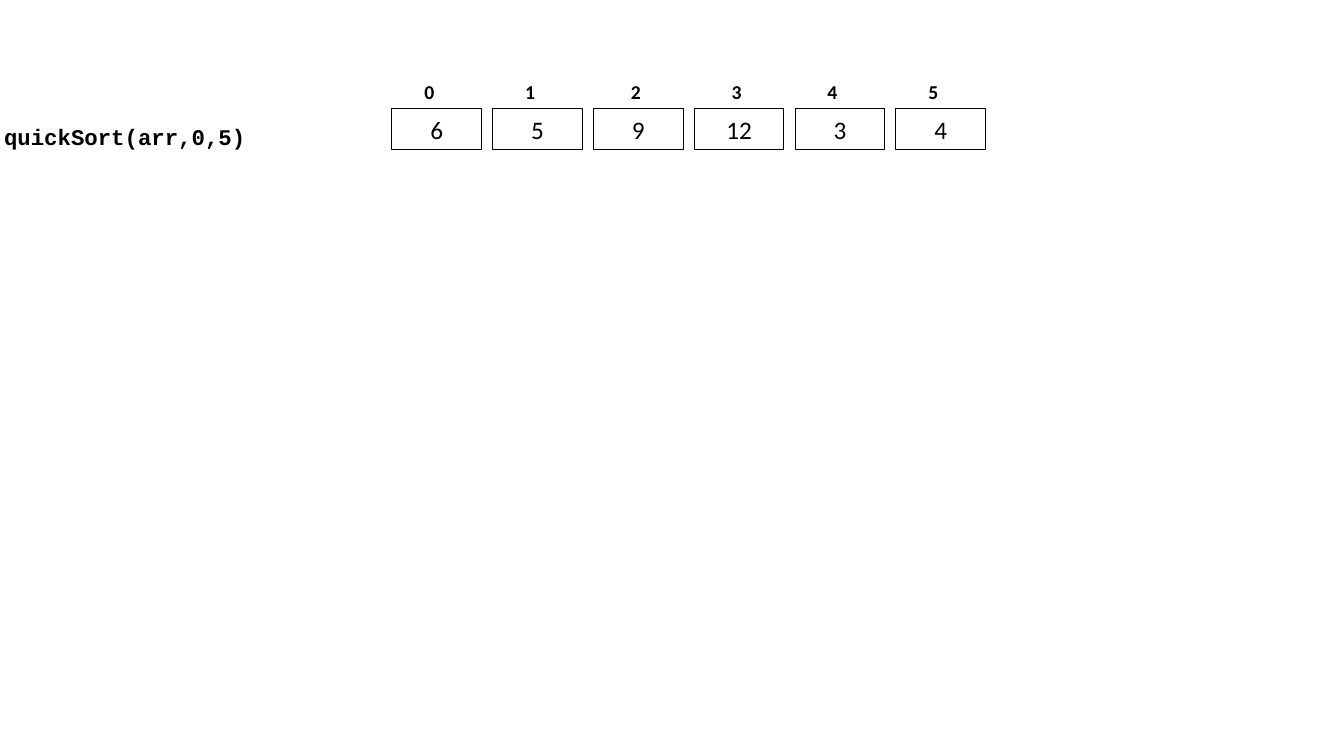
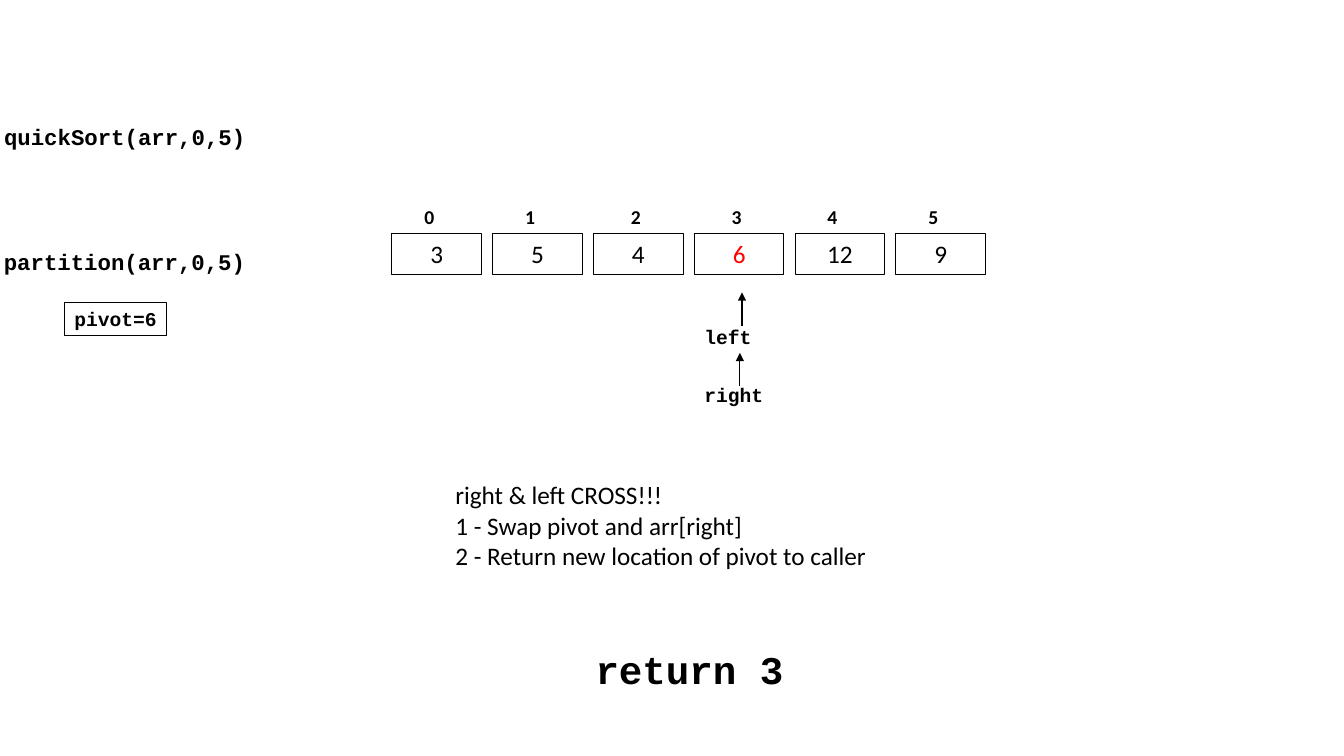
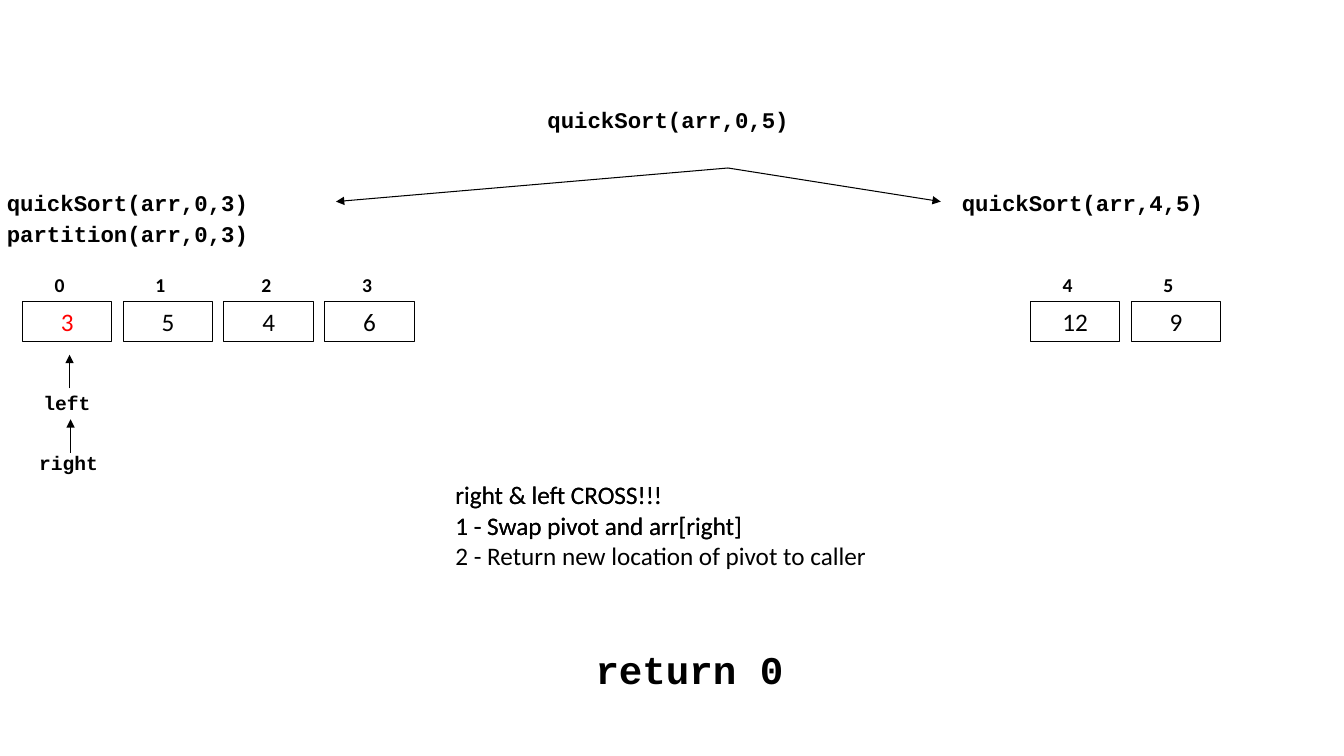
import dataclasses

import pptx
import pptx.dml.color
import pptx.enum.shapes
import pptx.enum.text
import pptx.oxml
import pptx.oxml.ns
import pptx.util

Pt = pptx.util.Pt
RGBColor = pptx.dml.color.RGBColor
MSO_SHAPE = pptx.enum.shapes.MSO_SHAPE
PP_ALIGN = pptx.enum.text.PP_ALIGN


@dataclasses.dataclass(frozen=True)
class TextStyle:
    """Font, size and weight of one kind of text."""
    font: str
    size: float
    bold: bool = False


@dataclasses.dataclass(frozen=True)
class Theme:
    """Colours, type styles and line width shared by the slides."""
    ink: RGBColor = RGBColor(0, 0, 0)
    highlight: RGBColor = RGBColor(255, 0, 0)
    line_width: float = 0.75
    call: TextStyle = TextStyle("Courier New", 16, True)
    pointer: TextStyle = TextStyle("Courier New", 14, True)
    result: TextStyle = TextStyle("Courier New", 28, True)
    index: TextStyle = TextStyle("Calibri", 14, True)
    value: TextStyle = TextStyle("Calibri", 18)


THEME = Theme()
SLIDE_WIDTH, SLIDE_HEIGHT = 960, 540
TITLE_ONLY_LAYOUT = 5
CELL_WIDTH, CELL_PITCH = 64, 72
INDEX_LEFT, INDEX_RISE, INDEX_WIDTH = 16, 24, 21.6
INDEX_NUDGES = {2: 3.6, 3: 3.6}
POINTER_LENGTH = 24
CROSS_STEPS = ["right & left CROSS!!!", "1 - Swap pivot and arr[right]",
               "2 - Return new location of pivot to caller"]


def code_width(text, style):
    """Width of a box around one line of monospaced text."""
    return 14.4 + 0.6 * style.size * len(text)


def text_height(style, lines=1):
    """Height of a box around the given number of lines."""
    return 7.2 + 1.2 * style.size * lines


def place(shape, left, top, width, height):
    """Move and size a shape."""
    shape.left, shape.top = Pt(left), Pt(top)
    shape.width, shape.height = Pt(width), Pt(height)


def write(shape, lines, style, color=THEME.ink, align=PP_ALIGN.LEFT, wrap=False):
    """Fill a shape with one formatted paragraph per line."""
    frame = shape.text_frame
    frame.text = "\n".join(lines)
    frame.word_wrap = wrap
    frame.auto_size = pptx.enum.text.MSO_AUTO_SIZE.SHAPE_TO_FIT_TEXT
    frame.vertical_anchor = pptx.enum.text.MSO_ANCHOR.TOP
    for paragraph in frame.paragraphs:
        paragraph.alignment = align
        paragraph.font.name = style.font
        paragraph.font.size = Pt(style.size)
        paragraph.font.bold = style.bold
        paragraph.font.color.rgb = color


def add_text(slide, lines, style, left, top, width, height=None):
    """Add a text box that does not wrap."""
    height = height or text_height(style, len(lines))
    shape = slide.shapes.add_textbox(Pt(left), Pt(top), Pt(width), Pt(height))
    write(shape, lines, style)


def add_code(slide, text, style, left, top):
    """Add one line of code as wide as its text."""
    add_text(slide, [text], style, left, top, code_width(text, style))


def add_box(slide, text, style, left, top, width, **options):
    """Add an outlined rectangle holding one line of text."""
    shape = slide.shapes.add_shape(MSO_SHAPE.RECTANGLE, Pt(left), Pt(top),
                                   Pt(width), Pt(text_height(style)))
    shape.shadow.inherit = False
    shape.fill.background()
    shape.line.color.rgb = THEME.ink
    shape.line.width = Pt(THEME.line_width)
    write(shape, [text], style, **options)


def add_array(slide, values, left, top, first_index=0, pivot_index=None):
    """Add a row of cells with their indices, the pivot highlighted."""
    for position, value in enumerate(values):
        index = first_index + position
        cell_left = left + position * CELL_PITCH
        color = THEME.highlight if index == pivot_index else THEME.ink
        add_box(slide, str(value), THEME.value, cell_left, top, CELL_WIDTH,
                color=color, align=PP_ALIGN.CENTER, wrap=True)
        index_left = cell_left + INDEX_LEFT + INDEX_NUDGES.get(index, 0)
        add_text(slide, [str(index)], THEME.index, index_left,
                 top - INDEX_RISE, INDEX_WIDTH)


def add_arrow(slide, start, end):
    """Add a straight arrow with its head at the end point."""
    connector = slide.shapes.add_connector(
        pptx.enum.shapes.MSO_CONNECTOR.STRAIGHT, *map(Pt, start + end))
    connector.line.color.rgb = THEME.ink
    connector.line.width = Pt(THEME.line_width)
    tail = pptx.oxml.parse_xml(
        f'<a:tailEnd {pptx.oxml.ns.nsdecls("a")} type="triangle"/>')
    connector.line._get_or_add_ln().append(tail)
    effects = pptx.oxml.parse_xml(
        f'<a:effectLst {pptx.oxml.ns.nsdecls("a")}/>')
    connector._element.spPr.append(effects)


def add_pointer(slide, name, left, top, arrow_x, arrow_tip):
    """Add a named index pointer with an upward arrow."""
    add_code(slide, name, THEME.pointer, left, top)
    add_arrow(slide, (arrow_x, arrow_tip + POINTER_LENGTH), (arrow_x, arrow_tip))


def add_cross_steps(slide):
    """Add the steps taken when the pointers cross."""
    add_text(slide, CROSS_STEPS, THEME.value, 318.2, 339.1, 311.8)


def add_result(slide, text):
    """Add the returned value at the foot of the slide."""
    add_code(slide, text, THEME.result, 418.3, 457.2)


def add_call_slide(presentation, left, top):
    """Add a slide titled with the outermost call."""
    layout = presentation.slide_layouts[TITLE_ONLY_LAYOUT]
    slide = presentation.slides.add_slide(layout)
    call = "quickSort(arr,0,5)"
    title = slide.shapes.title
    place(title, left, top, code_width(call, THEME.call), text_height(THEME.call))
    write(title, [call], THEME.call)
    return slide


def build_start(presentation):
    """Show the unsorted array."""
    slide = add_call_slide(presentation, -4.3, 84.2)
    add_array(slide, [6, 5, 9, 12, 3, 4], 280, 77.8)


def build_first_partition(presentation):
    """Show the array after the first partition."""
    slide = add_call_slide(presentation, -4.3, 84.2)
    add_array(slide, [3, 5, 4, 6, 12, 9], 280, 167, pivot_index=3)
    add_code(slide, "partition(arr,0,5)", THEME.call, -4.3, 173.5)
    add_pointer(slide, "left", 496, 228.2, 530, 208.8)
    add_pointer(slide, "right", 496, 270, 528.5, 252)
    pivot = "pivot=6"
    add_box(slide, pivot, THEME.pointer, 46, 216, code_width(pivot, THEME.pointer))
    add_cross_steps(slide)
    add_result(slide, "return 3")


def build_split(presentation):
    """Show the two recursive calls and the left partition."""
    slide = add_call_slide(presentation, 383.8, 72)
    add_code(slide, "quickSort(arr,0,3)", THEME.call, -2.2, 131.4)
    add_array(slide, [3, 5, 4, 6], 16, 215.3, pivot_index=0)
    add_code(slide, "quickSort(arr,4,5)", THEME.call, 680, 131.8)
    add_array(slide, [12, 9], 736, 215.3, first_index=4)
    for call_x in (240, 672):
        add_arrow(slide, (520, 120), (call_x, 144))
    add_code(slide, "partition(arr,0,3)", THEME.call, -2.2, 153.4)
    add_pointer(slide, "left", 23.8, 275.8, 49.7, 253.4)
    add_pointer(slide, "right", 20.9, 318.2, 50.4, 299.5)
    add_text(slide, CROSS_STEPS[:2], THEME.value, 318.2, 339.1, 221.8, 94.3)
    add_cross_steps(slide)
    add_result(slide, "return 0")


def main():
    """Build and save the presentation."""
    presentation = pptx.Presentation()
    presentation.slide_width = Pt(SLIDE_WIDTH)
    presentation.slide_height = Pt(SLIDE_HEIGHT)
    build_start(presentation)
    build_first_partition(presentation)
    build_split(presentation)
    presentation.save("out.pptx")


main()
